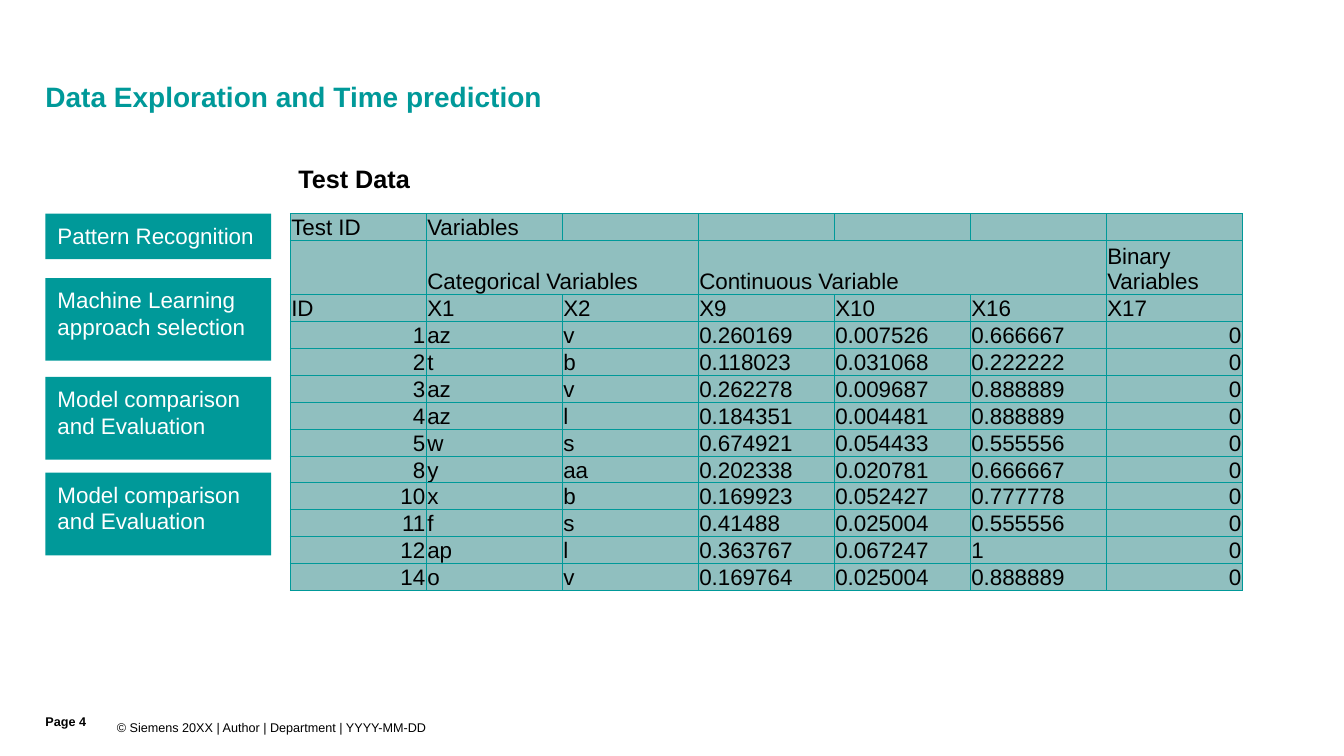
from lxml.etree import SubElement
from pptx import Presentation
from pptx.dml.color import RGBColor
from pptx.enum.shapes import MSO_SHAPE
from pptx.enum.text import MSO_ANCHOR, PP_ALIGN
from pptx.oxml.ns import qn
from pptx.util import Inches, Pt

TEAL, PALE, BLACK, WHITE = "009999", "90BFBF", "000000", "FFFFFF"

deck = Presentation()
deck.slide_width, deck.slide_height = Inches(13.33), Inches(7.5)
slide = deck.slides.add_slide(deck.slide_layouts[6])
shapes = slide.shapes


def place(x, y, wide, high):
    """Turn percentages of the slide into lengths."""
    across, down = deck.slide_width / 100, deck.slide_height / 100
    return [int(x * across), int(y * down), int(wide * across), int(high * down)]


def write(frame, text, size, color, bold=False, pad=(0.1, 0.05, 0.1, 0.05),
          anchor=MSO_ANCHOR.TOP, align=PP_ALIGN.LEFT):
    """Fill a text frame with one run; pad is left, top, right, bottom."""
    frame.word_wrap = True
    frame.vertical_anchor = anchor
    (frame.margin_left, frame.margin_top,
     frame.margin_right, frame.margin_bottom) = map(Inches, pad)
    line = frame.paragraphs[0]
    line.alignment = align
    run = line.add_run()
    run.text = text
    font = run.font
    font.name, font.size, font.bold = "Arial", Pt(size), bold
    font.color.rgb = RGBColor.from_string(color)
    return line


# Title and footer
title = shapes.add_textbox(*place(3.38, 6.93, 80.95, 8.4))
write(title.text_frame, "Data Exploration and Time prediction", 20, TEAL, True,
      (0, 0, 0.35, 0.02), MSO_ANCHOR.BOTTOM).line_spacing = 0.9

footer = [
    ("© Siemens 20XX | Author | Department | YYYY-MM-DD", False, (8.7, 92.67, 75.62, 8)),
    ("Page 4", True, (3.38, 91.87, 5.33, 8)),
]
for text, bold, spot in footer:
    box = shapes.add_textbox(*place(*spot))
    write(box.text_frame, text, 9, BLACK, bold, (0, 0, 0, 0.07), MSO_ANCHOR.MIDDLE)

# Test data table
top = 28.27
head = shapes.add_textbox(*place(21.46, 20.93, 50.04, 5.33))
write(head.text_frame, "Test Data", 18, BLACK, True)

data = [
    ("Test ID", "Variables", "", "", "", "", ""),
    ("", "Categorical Variables", "", "Continuous Variable", "", "", "Binary Variables"),
    ("ID", "X1", "X2", "X9", "X10", "X16", "X17"),
    ("1", "az", "v", "0.260169", "0.007526", "0.666667", "0"),
    ("2", "t", "b", "0.118023", "0.031068", "0.222222", "0"),
    ("3", "az", "v", "0.262278", "0.009687", "0.888889", "0"),
    ("4", "az", "l", "0.184351", "0.004481", "0.888889", "0"),
    ("5", "w", "s", "0.674921", "0.054433", "0.555556", "0"),
    ("8", "y", "aa", "0.202338", "0.020781", "0.666667", "0"),
    ("10", "x", "b", "0.169923", "0.052427", "0.777778", "0"),
    ("11", "f", "s", "0.41488", "0.025004", "0.555556", "0"),
    ("12", "ap", "l", "0.363767", "0.067247", "1", "0"),
    ("14", "o", "v", "0.169764", "0.025004", "0.888889", "0"),
]
rows, cols = len(data), len(data[0])
col, row = 10.12, 3.4
grid = shapes.add_table(rows, cols, *place(21.6, top, cols * col, (rows + 1) * row)).table
grid.first_row = grid.horz_banding = False
for part in grid.columns:
    part.width = place(0, 0, col, 0)[2]
for r, part in enumerate(grid.rows):
    part.height = place(0, 0, 0, 2 * row if r == 1 else row)[3]

for r, line in enumerate(data):
    for c, text in enumerate(line):
        cell = grid.cell(r, c)
        pad = (0.01, 0, 0.01, 0)
        if text:
            side = PP_ALIGN.RIGHT if r > 2 and c in (0, cols - 1) else PP_ALIGN.LEFT
            write(cell.text_frame, text, 16, BLACK, False, pad, align=side)
        else:
            # An empty cell needs its own size to keep the row low
            mark = cell.text_frame.paragraphs[0]._p
            SubElement(mark, qn("a:endParaRPr"), sz="1600")
        (cell.margin_left, cell.margin_top,
         cell.margin_right, cell.margin_bottom) = map(Inches, pad)
        cell.vertical_anchor = MSO_ANCHOR.BOTTOM
        props = cell._tc.get_or_add_tcPr()
        for edge in ("a:lnL", "a:lnR", "a:lnT", "a:lnB"):
            rule = SubElement(props, qn(edge), w=str(Pt(0.5)))
            SubElement(SubElement(rule, qn("a:solidFill")), qn("a:srgbClr"), val=TEAL)
        cell.fill.solid()
        cell.fill.fore_color.rgb = RGBColor.from_string(PALE)
for first, last in ((1, 2), (3, 5)):
    grid.cell(1, first).merge(grid.cell(1, last))

# Steps on the left
steps = [
    ("Pattern Recognition", top, 6),
    ("Machine Learning approach selection", 36.8, 10.93),
    ("Model comparison and Evaluation", 49.87, 10.93),
    ("Model comparison and Evaluation", 62.53, 10.93),
]
for text, y, high in steps:
    step = shapes.add_shape(MSO_SHAPE.RECTANGLE, *place(3.38, y, 16.8, high))
    step.shadow.inherit = False
    step.fill.solid()
    step.fill.fore_color.rgb = RGBColor.from_string(TEAL)
    step.line.fill.background()
    write(step.text_frame, text, 16, WHITE, pad=(0.12, 0.08, 0.12, 0.08))

deck.save("out.pptx")
